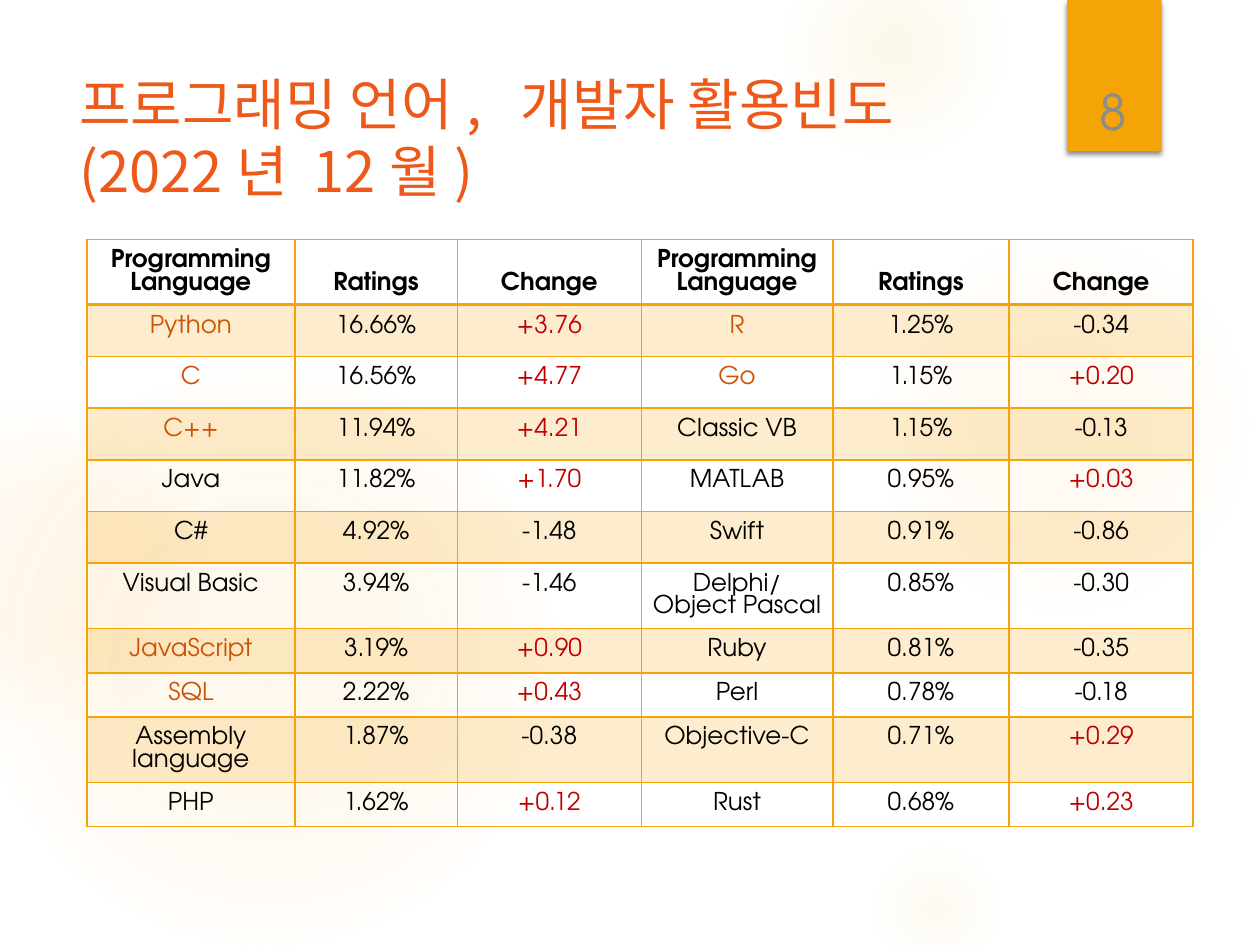
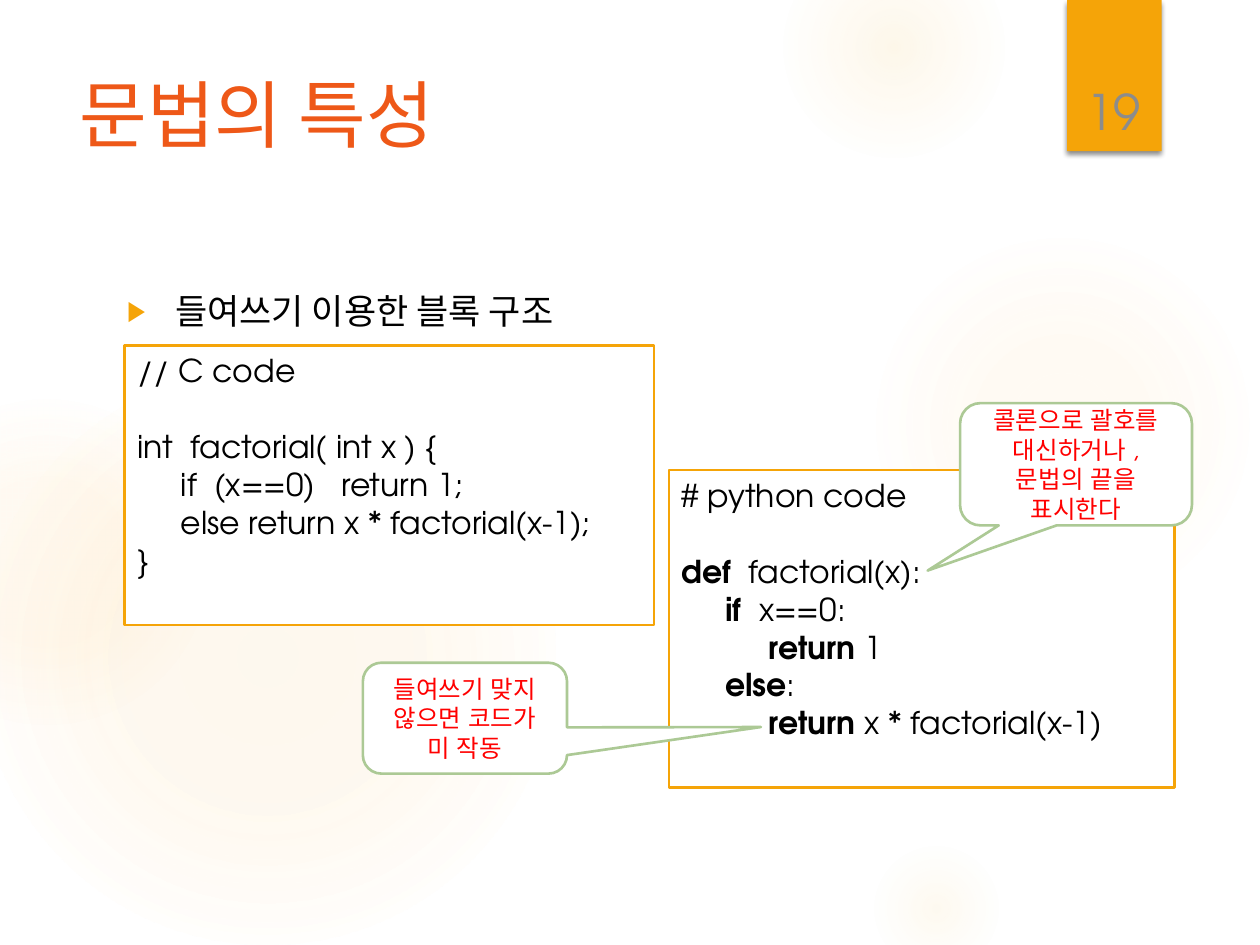
"""Builds two lecture slides comparing programming languages and block syntax."""
import dataclasses

import lxml.etree
import pptx
import pptx.dml.color
import pptx.enum.shapes
import pptx.enum.text
import pptx.oxml
import pptx.oxml.ns
import pptx.util

SHAPE = pptx.enum.shapes.MSO_SHAPE
ALIGN = pptx.enum.text.PP_ALIGN
ANCHOR = pptx.enum.text.MSO_ANCHOR
qn = pptx.oxml.ns.qn
XMLNS = 'xmlns:a="http://schemas.openxmlformats.org/drawingml/2006/main"'
EMU_PER_PX = 9144


@dataclasses.dataclass(frozen=True)
class Theme:
    latin: str = "TeX Gyre Adventor"
    korean: str = "Noto Sans CJK KR"
    amber: str = "F5A408"
    glow: str = "FAC96A"
    orange: str = "EE5818"
    rust: str = "CB5304"
    red: str = "C00000"
    alert: str = "FF0000"
    green: str = "ACC995"
    grey: str = "8C8C8C"
    black: str = "000000"
    white: str = "FFFFFF"
    title_size: int = 42
    long_title_size: int = 32
    number_size: int = 28
    bullet_size: int = 20
    code_size: int = 18
    note_size: int = 14
    code_gap: float = 21.7
    outline: float = 1.5


GLOWS = [
    ((689, 183, 308), ((0, 7), (36, 6), (69, 0))),
    ((622, -50, 175), ((0, 14), (36, 7), (73, 0))),
    ((689, 667, 108), ((0, 10), (31, 5), (66, 0))),
    ((-17, 292, 458), ((0, 11), (36, 10), (75, 0))),
    ((-92, 317, 258), ((0, 8), (36, 8), (72, 0))),
]

HEADER = ["Programming Language", "Ratings", "Change"] * 2
RATINGS = [
    ["Python", "16.66%", "+3.76", "R", "1.25%", "-0.34"],
    ["C", "16.56%", "+4.77", "Go", "1.15%", "+0.20"],
    ["C++", "11.94%", "+4.21", "Classic VB", "1.15%", "-0.13"],
    ["Java", "11.82%", "+1.70", "MATLAB", "0.95%", "+0.03"],
    ["C#", "4.92%", "-1.48", "Swift", "0.91%", "-0.86"],
    ["Visual Basic", "3.94%", "-1.46", "Delphi/Object Pascal", "0.85%", "-0.30"],
    ["JavaScript", "3.19%", "+0.90", "Ruby", "0.81%", "-0.35"],
    ["SQL", "2.22%", "+0.43", "Perl", "0.78%", "-0.18"],
    ["Assembly language", "1.87%", "-0.38", "Objective-C", "0.71%", "+0.29"],
    ["PHP", "1.62%", "+0.12", "Rust", "0.68%", "+0.23"],
]
COLUMN_WIDTHS = [165, 129, 146, 152, 140, 146]
ROW_HEIGHTS = [52, 41, 41, 41, 41, 41, 52, 35, 35, 52, 35]
HIGHLIGHTED = {"Python", "C", "C++", "JavaScript", "SQL", "R", "Go"}

C_CODE = [
    ["int  factorial( int x ) {"],
    ["     if  (x==0)   return 1;"],
    ["     else return x * factorial(x-1);"],
    ["}"],
]
PYTHON_CODE = [
    ["", "def", "  factorial(x):"],
    ["    ", " if  ", "x==0:"],
    ["          ", "return", " 1"],
    ["     ", "else", ":"],
    ["          ", "return", " x * factorial(x-1)"],
]


def px(*lengths):
    return [pptx.util.Emu(length * EMU_PER_PX) for length in lengths]


def rgb(value):
    return pptx.dml.color.RGBColor.from_string(value)


class Slides:
    """Holds the theme and the current page, and draws each kind of element."""

    def __init__(self, theme):
        self.theme = theme
        self.deck = pptx.Presentation()
        self.deck.slide_width, self.deck.slide_height = px(1000, 750)
        self.page = None

    def new_page(self, layout, number):
        self.page = self.deck.slides.add_slide(self.deck.slide_layouts[layout])
        for (left, top, size), stops in GLOWS:
            self.glow(left, top, size, stops)
        band = self.shape(SHAPE.RECTANGLE, (847, 0, 75, 120), self.theme.amber)
        effects = band.element.spPr.find(qn("a:effectLst"))
        effects.append(pptx.oxml.parse_xml(
            f'<a:outerShdw {XMLNS} blurRad="38100" dist="25400" dir="5400000" rotWithShape="0">'
            f'<a:srgbClr val="{self.theme.black}"><a:alpha val="45000"/></a:srgbClr></a:outerShdw>'))
        box = self.page.shapes.add_textbox(*px(849, 32, 69, 84))
        para = self.frame(box, ANCHOR.BOTTOM).paragraphs[0]
        para.alignment = ALIGN.CENTER
        self.span(para, number, self.theme.number_size, self.theme.grey)

    def shape(self, kind, bounds, fill=None, line=None):
        shape = self.page.shapes.add_shape(kind, *px(*bounds))
        shape.shadow.inherit = False
        if fill:
            shape.fill.solid()
            shape.fill.fore_color.rgb = rgb(fill)
        else:
            shape.fill.background()
        if line:
            shape.line.color.rgb = rgb(line)
            shape.line.width = pptx.util.Pt(self.theme.outline)
        else:
            shape.line.fill.background()
        return shape

    def glow(self, left, top, size, stops):
        properties = self.shape(SHAPE.OVAL, (left, top, size, size)).element.spPr
        steps = "".join(
            f'<a:gs pos="{place * 1000}"><a:srgbClr val="{self.theme.glow}">'
            f'<a:alpha val="{alpha * 1000}"/></a:srgbClr></a:gs>' for place, alpha in stops)
        gradient = pptx.oxml.parse_xml(
            f'<a:gradFill {XMLNS}><a:gsLst>{steps}</a:gsLst><a:path path="circle">'
            '<a:fillToRect l="50000" t="50000" r="50000" b="50000"/></a:path></a:gradFill>')
        properties.replace(properties.find(qn("a:noFill")), gradient)

    def frame(self, box, anchor):
        frame = box.text_frame
        frame.word_wrap = True
        frame.auto_size = pptx.enum.text.MSO_AUTO_SIZE.NONE
        frame.vertical_anchor = anchor
        return frame

    def span(self, para, text, size, color, font=None, bold=False):
        span = para.add_run()
        span.text = text
        span.font.size = pptx.util.Pt(size)
        span.font.bold = bold
        span.font.color.rgb = rgb(color)
        span.font.name = font or self.theme.latin
        east_asian = lxml.etree.Element(qn("a:ea"), typeface=span.font.name)
        span.font._element.find(qn("a:latin")).addnext(east_asian)

    def placeholder(self, box, bounds):
        box.left, box.top, box.width, box.height = px(*bounds)
        box.element.getparent().append(box.element)
        para = self.frame(box, ANCHOR.TOP).paragraphs[0]
        para.alignment = ALIGN.LEFT
        para.space_before = pptx.util.Pt(0)
        return para

    def title(self, text, size):
        para = self.placeholder(self.page.shapes.title, (53, 50, 772, 153))
        self.span(para, text, size, self.theme.orange, self.theme.korean)

    def bullet(self, text):
        para = self.placeholder(self.page.placeholders[1], (91, 225, 734, 459))
        properties = para._p.get_or_add_pPr()
        indent = px(38)[0]
        properties.set("marL", str(indent))
        properties.set("indent", str(-indent))
        for element in (f'<a:buClr {XMLNS}><a:srgbClr val="{self.theme.amber}"/></a:buClr>',
                        f'<a:buSzPct {XMLNS} val="80000"/>',
                        f'<a:buChar {XMLNS} char="▶"/>'):
            properties.append(pptx.oxml.parse_xml(element))
        self.span(para, text, self.theme.bullet_size, self.theme.black, self.theme.korean)

    def code(self, bounds, heading, lines):
        box = self.shape(SHAPE.RECTANGLE, bounds, self.theme.white, self.theme.amber)
        frame = self.frame(box, ANCHOR.TOP)
        for index, parts in enumerate([[heading], *lines]):
            para = frame.add_paragraph() if index else frame.paragraphs[0]
            para.alignment = ALIGN.LEFT
            if index == 1:
                para.space_before = pptx.util.Pt(self.theme.code_gap)
            for place, text in enumerate(parts):
                if text:
                    self.span(para, text, self.theme.code_size, self.theme.black, bold=place == 1)

    def callout(self, bounds, tip, text):
        box = self.shape(SHAPE.ROUNDED_RECTANGULAR_CALLOUT, bounds,
                         self.theme.white, self.theme.green)
        box.adjustments[0], box.adjustments[1] = tip
        para = self.frame(box, ANCHOR.MIDDLE).paragraphs[0]
        para.alignment = ALIGN.CENTER
        self.span(para, text, self.theme.note_size, self.theme.alert)

    def table(self, left, top, widths, heights, rows):
        bounds = px(left, top, sum(widths), sum(heights))
        table = self.page.shapes.add_table(len(rows), len(widths), *bounds).table
        table.first_row = table.horz_banding = False
        for column, width in zip(table.columns, px(*widths)):
            column.width = width
        for row, height in zip(table.rows, px(*heights)):
            row.height = height
        for row, texts in enumerate(rows):
            for column, text in enumerate(texts):
                self.cell(table.cell(row, column), row, text)

    def cell(self, cell, row, text):
        cell.margin_left, cell.margin_right, cell.margin_top, cell.margin_bottom = px(8, 8, 8, 8)
        cell.vertical_anchor = ANCHOR.TOP if row else ANCHOR.BOTTOM
        properties = cell._tc.get_or_add_tcPr()
        for side in ("lnL", "lnR", "lnT", "lnB"):
            points = 2 if (row, side) in ((0, "lnB"), (1, "lnT")) else 1
            properties.append(pptx.oxml.parse_xml(
                f'<a:{side} {XMLNS} w="{pptx.util.Pt(points)}"><a:solidFill>'
                f'<a:srgbClr val="{self.theme.amber}"/></a:solidFill></a:{side}>'))
        if row % 2:
            cell.fill.solid()
            cell.fill.fore_color.rgb = rgb(self.theme.amber)
            color = properties.find(qn("a:solidFill")).find(qn("a:srgbClr"))
            lxml.etree.SubElement(color, qn("a:alpha"), val="20000")
        else:
            cell.fill.background()
        para = cell.text_frame.paragraphs[0]
        para.alignment = ALIGN.CENTER
        ink = self.theme.black
        if text in HIGHLIGHTED:
            ink = self.theme.rust
        elif text.startswith("+"):
            ink = self.theme.red
        self.span(para, text, self.theme.note_size, ink, bold=row == 0)


def main():
    theme = Theme()
    slides = Slides(theme)

    slides.new_page(5, "8")
    slides.title("프로그래밍 언어,  개발자 활용빈도(2022년 12월)", theme.long_title_size)
    slides.table(69, 190, COLUMN_WIDTHS, ROW_HEIGHTS, [HEADER, *RATINGS])

    slides.new_page(1, "19")
    slides.title("문법의 특성", theme.title_size)
    slides.bullet("들여쓰기 이용한 블록 구조")
    slides.code((531, 373, 401, 252), "# python code", PYTHON_CODE)
    slides.code((99, 274, 420, 222), "// C code", C_CODE)
    slides.callout((288, 526, 162, 88), (1.45, 0.08), "들여쓰기 맞지 않으면 코드가 미 작동")
    slides.callout((762, 320, 184, 97), (-0.64, 0.87),
                   "콜론으로 괄호를 대신하거나, 문법의 끝을 표시한다")

    slides.deck.save("out.pptx")


if __name__ == "__main__":
    main()
